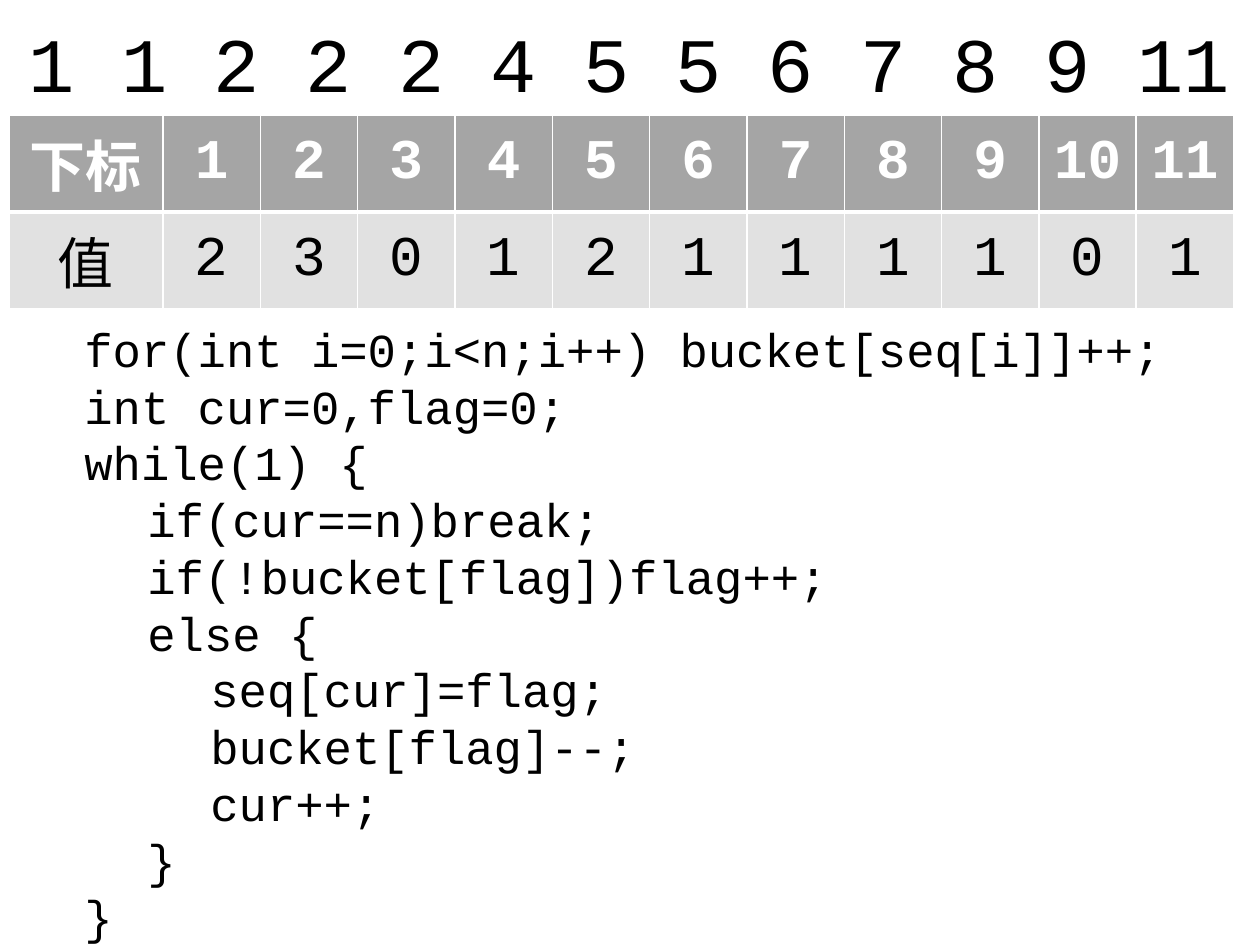
from dataclasses import dataclass

from lxml import etree
from pptx import Presentation
from pptx import util as u
from pptx.dml.color import RGBColor
from pptx.enum import text
from pptx.oxml import ns

SORTED_VALUES = "1 1 2 2 2 4 5 5 6 7 8 9 11"
BUCKETS = [
    ["下标", "1", "2", "3", "4", "5", "6", "7", "8", "9", "10", "11"],
    ["值", "2", "3", "0", "1", "2", "1", "1", "1", "1", "0", "1"],
]
CODE = [
    (1, "for(int i=0;i<n;i++) bucket[seq[i]]++;"),
    (1, "int cur=0,flag=0;"),
    (1, "while(1) {"),
    (2, "if(cur==n)break;"),
    (2, "if(!bucket[flag])flag++;"),
    (2, "else {"),
    (3, "seq[cur]=flag;"),
    (3, "bucket[flag]--;"),
    (3, "cur++;"),
    (2, "}"),
    (1, "}"),
]


@dataclass(frozen=True)
class Theme:
    font: str = "Courier New"
    ink: str = "000000"
    paper: str = "FFFFFF"
    header: str = "A5A5A5"
    body: str = "E1E1E1"
    sequence_size: int = 44
    table_size: int = 32
    code_size: int = 27
    thin: int = 1
    thick: int = 3


THEME = Theme()
PAGE_WIDTH, PAGE_HEIGHT = 1260, 945
LEFT, WIDTH = 9, 1225
LABEL_WIDTH, ROW_HEIGHT = 154, 97
INDENT = 63


def px(length):
    return u.Emu(round(length * 914400 / 126))


def write(para, content, size, color=THEME.ink, bold=False, align=None, depth=0):
    para.alignment = align
    if depth:
        properties = para._p.get_or_add_pPr()
        properties.set("marL", str(px(depth * INDENT)))
        properties.set("indent", "0")
    span = para.add_run()
    span.text = content
    span.font.name = THEME.font
    span.font.size = u.Pt(size)
    span.font.bold = bold
    span.font.color.rgb = RGBColor.from_string(color)


def add_box(page, left, top, width, height):
    frame = page.shapes.add_textbox(px(left), px(top), px(width), px(height)).text_frame
    frame.word_wrap = True
    frame.auto_size = text.MSO_AUTO_SIZE.SHAPE_TO_FIT_TEXT
    return frame


def set_borders(cell, **widths):
    properties = cell._tc.get_or_add_tcPr()
    for position, side in enumerate("LRTB"):
        line = etree.Element(ns.qn(f"a:ln{side}"), w=str(u.Pt(widths.get(side, THEME.thin))))
        fill = etree.SubElement(line, ns.qn("a:solidFill"))
        etree.SubElement(fill, ns.qn("a:srgbClr"), val=THEME.paper)
        properties.insert(position, line)


def add_buckets(page):
    count = len(BUCKETS[0])
    table = page.shapes.add_table(
        len(BUCKETS), count, px(LEFT), px(115), px(WIDTH), px(ROW_HEIGHT * len(BUCKETS))
    ).table
    for index, column in enumerate(table.columns):
        column.width = px((WIDTH - LABEL_WIDTH) / (count - 1) if index else LABEL_WIDTH)
    styles = [
        (THEME.header, THEME.paper, True, {"B": THEME.thick}),
        (THEME.body, THEME.ink, False, {"T": THEME.thick}),
    ]
    for row, values, (fill, color, bold, borders) in zip(table.rows, BUCKETS, styles):
        row.height = px(ROW_HEIGHT)
        for cell, value in zip(row.cells, values):
            cell.vertical_anchor = text.MSO_ANCHOR.MIDDLE
            cell.fill.solid()
            cell.fill.fore_color.rgb = RGBColor.from_string(fill)
            set_borders(cell, **borders)
            write(cell.text_frame.paragraphs[0], value, THEME.table_size,
                  color=color, bold=bold, align=text.PP_ALIGN.CENTER)


def main():
    deck = Presentation()
    deck.slide_width, deck.slide_height = px(PAGE_WIDTH), px(PAGE_HEIGHT)
    page = deck.slides.add_slide(deck.slide_layouts[6])

    sequence = add_box(page, 0, 9, PAGE_WIDTH, 106)
    write(sequence.paragraphs[0], SORTED_VALUES, THEME.sequence_size,
          align=text.PP_ALIGN.CENTER)

    add_buckets(page)

    listing = add_box(page, LEFT, 314, WIDTH, 643)
    for index, (depth, line) in enumerate(CODE):
        para = listing.add_paragraph() if index else listing.paragraphs[0]
        write(para, line, THEME.code_size, depth=depth)

    deck.save("out.pptx")


if __name__ == "__main__":
    main()
